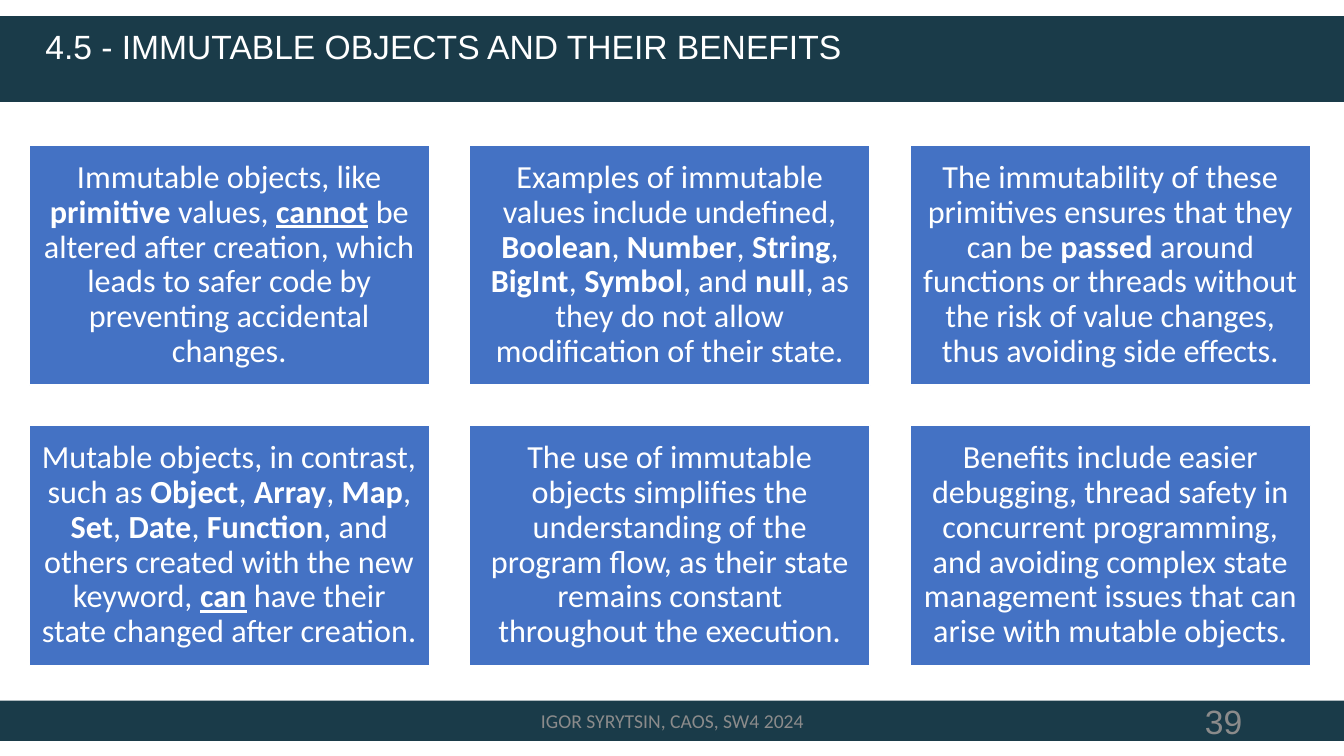
from pptx import Presentation
from pptx.dml.color import RGBColor as RGB
from pptx.enum.shapes import MSO_SHAPE as Shape
from pptx.enum.text import MSO_ANCHOR as Anchor, MSO_AUTO_SIZE as Fit, PP_ALIGN as Align
from pptx.util import Inches, Pt

DARK, BLUE, WHITE, GREY = "1A3B49", "4472C4", "FFFFFF", "8B8B8B"
CARDS = [
    "Immutable objects, like *primitive* values, *_cannot* be altered after creation, "
    "which leads to safer code by preventing accidental changes.",
    "Examples of immutable values include undefined, *Boolean*, *Number*, *String*, "
    "*BigInt*, *Symbol*, and *null*, as they do not allow modification of their state.",
    "The immutability of these primitives ensures that they can be *passed* around "
    "functions or threads without the risk of value changes, thus avoiding side effects.",
    "Mutable objects, in contrast, such as *Object*, *Array*, *Map*, *Set*, *Date*, "
    "*Function*, and others created with the new keyword, *_can* have their state "
    "changed after creation.",
    "The use of immutable objects simplifies the understanding of the program flow, "
    "as their state remains constant throughout the execution.",
    "Benefits include easier debugging, thread safety in concurrent programming, and "
    "avoiding complex state management issues that can arise with mutable objects.",
]


def paint(target, color):
    """Give a fill or font one solid colour."""
    if hasattr(target, "solid"):
        target.solid()
        target.fore_color.rgb = RGB.from_string(color)
    else:
        target.color.rgb = RGB.from_string(color)


def place(shape, left, top, width, height):
    """Move and size a shape, in inches."""
    shape.left, shape.top = Inches(left), Inches(top)
    shape.width, shape.height = Inches(width), Inches(height)


def write(shape, text, font, size, color, align, anchor=Anchor.MIDDLE, space=1.0):
    """Fill a shape with one paragraph; *bold* and *_underlined* are marked."""
    frame = shape.text_frame
    frame.word_wrap = True
    frame.auto_size = Fit.NONE
    frame.vertical_anchor = anchor
    para = frame.paragraphs[0]
    para.alignment, para.line_spacing = align, space
    para.font.name, para.font.size = font, Pt(size)
    para.font.bold = False
    paint(para.font, color)
    for i, part in enumerate(text.split("*")):
        run = para.add_run()
        run.text = part.lstrip("_")
        if i % 2:
            run.font.bold = True
            if part.startswith("_"):
                run.font.underline = True


def box(slide, left, top, width, height, color):
    """Add a plain filled rectangle."""
    shape = slide.shapes.add_shape(
        Shape.RECTANGLE, Inches(left), Inches(top), Inches(width), Inches(height))
    shape.shadow.inherit = False
    paint(shape.fill, color)
    shape.line.fill.background()
    return shape


def card(slide, left, top, text):
    """Add a blue card with centred text."""
    shape = box(slide, left, top, 3.97, 2.38, BLUE)
    paint(shape.line, WHITE)
    shape.line.width = Pt(1)
    frame = shape.text_frame
    frame.margin_top = frame.margin_bottom = Inches(0.1)
    write(shape, text, "Calibri", 23, WHITE, Align.CENTER, space=0.9)


def label(slide, left, width, text, font, size, align):
    """Add a text box in the bottom band."""
    shape = slide.shapes.add_textbox(0, 0, 0, 0)
    place(shape, left, 6.95, width, 0.4)
    write(shape, text, font, size, GREY, align)


def head(slide, text):
    """Put the title over the top band."""
    title = slide.shapes.title
    title.element.getparent().append(title.element)
    place(title, 0.35, 0.25, 11.5, 0.68)
    write(title, text, "Arial", 24, WHITE, Align.LEFT, Anchor.TOP, 0.9)


def main():
    """Build and save the slide."""
    deck = Presentation()
    deck.slide_width, deck.slide_height = Inches(13.33), Inches(7.5)
    slide = deck.slides.add_slide(deck.slide_layouts[5])
    box(slide, 0, 0.16, 13.33, 0.85, DARK)
    box(slide, 0, 6.95, 13.33, 0.4, DARK)
    head(slide, "4.5 - IMMUTABLE OBJECTS AND THEIR BENEFITS")
    for i, text in enumerate(CARDS):
        row, col = divmod(i, 3)
        card(slide, 0.29 + 4.37 * col, 1.44 + 2.78 * row, text)
    label(slide, 4.42, 4.5, "IGOR SYRYTSIN, CAOS, SW4 2024", "Calibri", 14, Align.CENTER)
    label(slide, 9.42, 3, "39", "Arial", 24, Align.RIGHT)
    deck.save("out.pptx")


if __name__ == "__main__":
    main()
